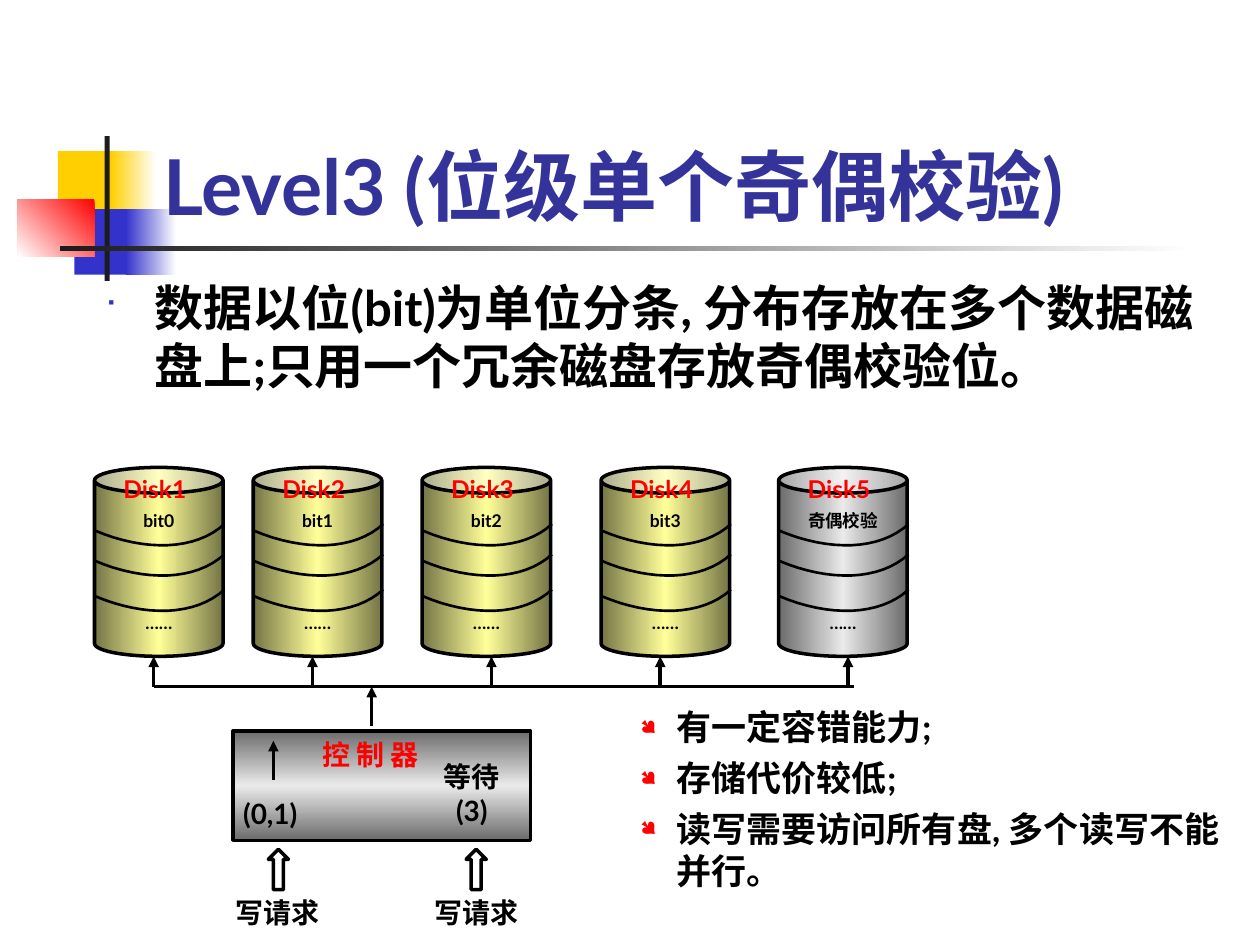
from dataclasses import dataclass
from math import cos, radians, sin

from lxml.etree import SubElement
from pptx import Presentation
from pptx.dml.color import RGBColor
from pptx.enum.shapes import MSO_CONNECTOR as Connector, MSO_SHAPE as Shape
from pptx.enum.text import MSO_ANCHOR as Anchor, PP_ALIGN as Align
from pptx.oxml import parse_xml
from pptx.oxml.ns import nsdecls, qn
from pptx.util import Inches, Pt

FONT = "Lato"
BULLET_FONT = "Wingdings"
COLORS = {
    "black": "000000", "white": "FFFFFF", "red": "FF0000", "yellow": "FFCF01",
    "blue": "3333CC", "title": "333399", "ink": "1C1C1C", "olive": "757546",
    "cream": "FFFF99", "gray": "6B6B6B", "silver": "EAEAEA",
}
OLIVE_METAL = ("olive", "cream", "olive")
GRAY_METAL = ("gray", "silver", "gray")
DISK_TOP, DISK_BOTTOM, BUS_Y = 3.71, 5.21, 5.45
BAND_CURVE = ((1.03, 0.45), (0.8, 0.66), (0.4, 0.67), (0, 0.5))
BAND_OFFSETS = (0, 0.24, 0.52)
BAND_CENTER = (0.28, 0.07)
BAND_WIDTH, BAND_HEIGHT, BAND_TILT = 1.01, 1.71, 106.6
CURVE_STEPS = 16


@dataclass
class Block:
    left: float
    top: float
    width: float
    height: float
    colors: tuple
    angle: int = 180


@dataclass
class Disk:
    left: float
    arrow_x: float
    name: str
    content: str
    colors: tuple = OLIVE_METAL


@dataclass
class Label:
    left: float
    top: float
    width: float
    height: float
    lines: tuple
    size: float = 16
    color: str = "black"
    align: Align = Align.LEFT
    anchor: Anchor = Anchor.TOP
    bullet: str = ""
    bullet_color: str = "red"
    indent: float = 0
    gap: float = 0


BLOCKS = (
    Block(0.46, 1.2, 0.48, 0.52, ("yellow",)),
    Block(0.88, 1.2, 0.36, 0.52, ("white", "yellow")),
    Block(0.59, 1.66, 0.46, 0.52, ("blue",)),
    Block(1, 1.66, 0.4, 0.52, ("white", "blue")),
    Block(0.14, 1.58, 0.61, 0.46, ("red", "white"), 135),
    Block(0.83, 1.08, 0.04, 1.15, ("ink",)),
    Block(0.48, 1.95, 9, 0.04, ("white", "ink")),
)
DISKS = (
    Disk(0.75, 1.22, "Disk1", "bit0"),
    Disk(2.01, 2.48, "Disk2", "bit1"),
    Disk(3.35, 3.9, "Disk3", "bit2"),
    Disk(4.77, 5.24, "Disk4", "bit3"),
    Disk(6.18, 6.73, "Disk5", "奇偶校验", GRAY_METAL),
)
LABELS = (
    Label(1.3, 0.36, 7.64, 1.47, ("Level3 (位级单个奇偶校验)",), 44, "title",
          anchor=Anchor.BOTTOM),
    Label(0.83, 2.2, 8.82, 0.93,
          ("数据以位(bit)为单位分条, 分布存放在多个数据磁盘上;只用一个冗余磁盘存放奇偶校验位。",),
          28, bullet="■", bullet_color="blue", indent=0.4),
    Label(5.08, 5.6, 4.73, 1.47,
          ("有一定容错能力;", "存储代价较低;", "读写需要访问所有盘, 多个读写不能并行。"),
          20, bullet="●", indent=0.29, gap=5),
    Label(2.56, 5.85, 0.87, 0.27, ("控 制 器",), color="red"),
    Label(1.93, 6.32, 0.63, 0.27, ("(0,1)",)),
    Label(3.43, 6.03, 0.63, 0.53, ("等待", "(3)"), align=Align.CENTER),
    Label(1.85, 7.11, 0.71, 0.27, ("写请求",), align=Align.CENTER),
    Label(3.43, 7.11, 0.71, 0.27, ("写请求",), align=Align.CENTER),
)


def rgb(name: str) -> RGBColor:
    return RGBColor.from_string(COLORS[name])


def paint(shape, colors: tuple, angle: int = 180) -> None:
    """Fill with nothing, one colour, or an even gradient."""
    shape.shadow.inherit = False
    shape.fill.background()
    if len(colors) == 1:
        shape.fill.solid()
        shape.fill.fore_color.rgb = rgb(colors[0])
    elif colors:
        stops = "".join(
            f'<a:gs pos="{100000 * index // (len(colors) - 1)}"><a:srgbClr val="{COLORS[name]}"/></a:gs>'
            for index, name in enumerate(colors))
        gradient = parse_xml(f'<a:gradFill {nsdecls("a")} rotWithShape="1"><a:gsLst>{stops}</a:gsLst>'
                             f'<a:lin ang="{angle * 60000}" scaled="0"/></a:gradFill>')
        properties = shape._element.spPr
        properties.replace(properties.find(qn("a:noFill")), gradient)


def outline(shape, width: float = 2) -> None:
    shape.line.color.rgb = rgb("black")
    shape.line.width = Pt(width)


def add_box(slide, kind: Shape, block: Block):
    shape = slide.shapes.add_shape(
        kind, Inches(block.left), Inches(block.top), Inches(block.width), Inches(block.height))
    paint(shape, block.colors, block.angle)
    shape.line.fill.background()
    return shape


def add_run(paragraph, text: str, size: float, color: str) -> None:
    run = paragraph.add_run()
    run.text = text
    run.font.name = FONT
    run.font.size = Pt(size)
    run.font.bold = True
    run.font.color.rgb = rgb(color)


def add_bullet(paragraph, label: Label) -> None:
    properties = paragraph._p.get_or_add_pPr()
    properties.set("marL", str(Inches(label.indent)))
    properties.set("indent", str(-Inches(label.indent)))
    color = SubElement(properties, qn("a:buClr"))
    SubElement(color, qn("a:srgbClr"), val=COLORS[label.bullet_color])
    SubElement(properties, qn("a:buSzPct"), val="60000")
    SubElement(properties, qn("a:buFont"), typeface=BULLET_FONT)
    SubElement(properties, qn("a:buChar"), char=label.bullet)


def add_label(slide, label: Label) -> None:
    frame = slide.shapes.add_textbox(
        Inches(label.left), Inches(label.top), Inches(label.width), Inches(label.height)).text_frame
    frame.word_wrap = True
    frame.vertical_anchor = label.anchor
    frame.margin_left = frame.margin_right = frame.margin_top = frame.margin_bottom = 0
    for index, text in enumerate(label.lines):
        paragraph = frame.add_paragraph() if index else frame.paragraphs[0]
        if label.bullet:
            add_bullet(paragraph, label)
        paragraph.alignment = label.align
        if index and label.gap:
            paragraph.space_before = Pt(label.gap)
        add_run(paragraph, text, label.size, label.color)


def add_line(slide, start: tuple, end: tuple, arrow: bool = True) -> None:
    line = slide.shapes.add_connector(Connector.STRAIGHT, *map(Inches, start + end))
    outline(line)
    if arrow:
        SubElement(line.line._get_or_add_ln(), qn("a:headEnd"), type="triangle")
    SubElement(line._element.spPr, qn("a:effectLst"))


def band_point(t: float) -> tuple:
    """Return a curve point relative to the band's centre, before its tilt."""
    weights = ((1 - t) ** 3, 3 * t * (1 - t) ** 2, 3 * t * t * (1 - t), t ** 3)
    x, y = (sum(w * point[axis] for w, point in zip(weights, BAND_CURVE)) - BAND_CENTER[axis]
            for axis in (0, 1))
    tilt = radians(BAND_TILT)
    return x * cos(tilt) + y * sin(tilt), y * cos(tilt) - x * sin(tilt)


def add_band(slide, center_x: float, center_y: float) -> None:
    corner = (BAND_WIDTH / 2, BAND_HEIGHT / 2)
    curve = [band_point(step / CURVE_STEPS) for step in range(CURVE_STEPS + 1)]
    first, last, *points = [(Inches(center_x + x), Inches(center_y + y))
                            for x, y in [(-corner[0], -corner[1]), corner, *curve]]
    builder = slide.shapes.build_freeform(*first)
    builder.move_to(*last)
    builder.move_to(*points[0])
    builder.add_line_segments(points[1:], close=False)
    band = builder.convert_to_shape()
    band.rotation = BAND_TILT
    paint(band, ())
    outline(band, 1.5)


def add_disk(slide, disk: Disk) -> None:
    can = add_box(slide, Shape.CAN, Block(disk.left, DISK_TOP, 1.02, 1.5, disk.colors))
    can.adjustments[0] = 0.2
    outline(can)
    frame = can.text_frame
    frame.word_wrap = False
    frame.vertical_anchor = Anchor.MIDDLE
    frame.margin_top, frame.margin_bottom = 0, Inches(0.05)
    content, dots = frame.paragraphs[0], frame.add_paragraph()
    for paragraph, text in ((content, disk.content), (dots, "……")):
        paragraph.alignment = Align.CENTER
        paragraph.line_spacing = 1.6
        add_run(paragraph, text, 10, "black")
    dots.space_before = Pt(39)
    add_label(slide, Label(disk.left + 0.23, 3.76, 0.55, 0.23, (disk.name,), 14, "red"))
    for offset in BAND_OFFSETS:
        add_band(slide, disk.left + BAND_CENTER[0], DISK_TOP + BAND_CENTER[1] + offset)
    add_line(slide, (disk.arrow_x, DISK_BOTTOM), (disk.arrow_x, BUS_Y))


def main() -> None:
    presentation = Presentation()
    presentation.slide_width, presentation.slide_height = Inches(10), Inches(7.5)
    slide = presentation.slides.add_slide(presentation.slide_layouts[6])
    for block in BLOCKS:
        add_box(slide, Shape.RECTANGLE, block)
    for disk in DISKS:
        add_disk(slide, disk)
    add_line(slide, (1.22, BUS_Y), (6.78, BUS_Y), arrow=False)
    add_line(slide, (2.95, BUS_Y), (2.95, 5.76))
    outline(add_box(slide, Shape.RECTANGLE, Block(1.85, 5.8, 2.36, 0.87, GRAY_METAL, 90)))
    add_line(slide, (2.17, 5.88), (2.17, 6.19))
    for left in (2.13, 3.7):
        outline(add_box(slide, Shape.UP_ARROW, Block(left, 6.74, 0.16, 0.32, ())))
    for label in LABELS:
        add_label(slide, label)
    presentation.save("out.pptx")


if __name__ == "__main__":
    main()
